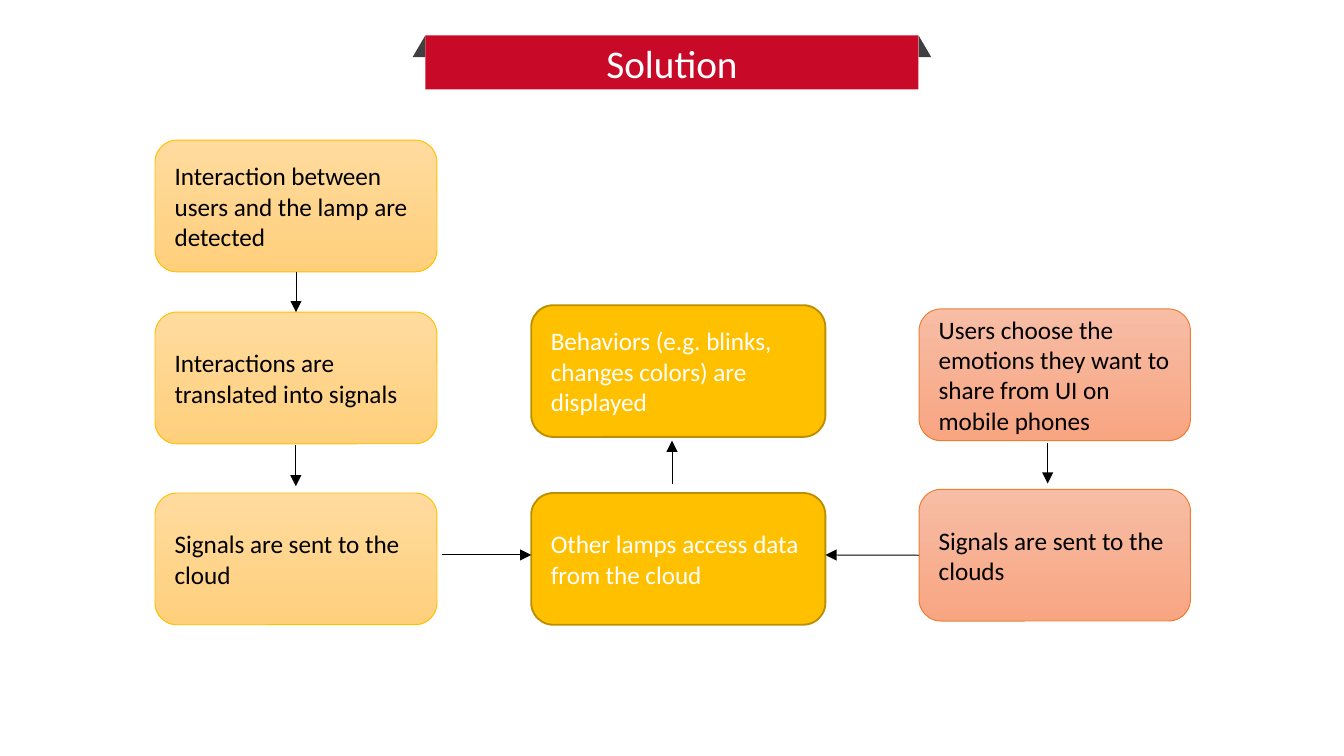
import lxml.etree
import pptx
import pptx.dml.color
import pptx.enum.shapes
import pptx.enum.text
import pptx.oxml.ns
import pptx.util

Cm = pptx.util.Cm
Pt = pptx.util.Pt
RGBColor = pptx.dml.color.RGBColor
SHAPE = pptx.enum.shapes.MSO_SHAPE
qn = pptx.oxml.ns.qn

WHITE = RGBColor(0xFF, 0xFF, 0xFF)
BLACK = RGBColor(0x00, 0x00, 0x00)
RED = RGBColor(0xC8, 0x0A, 0x28)
GREY = RGBColor(0x40, 0x40, 0x40)
GOLD = RGBColor(0xFF, 0xC0, 0x00)
DARK_GOLD = RGBColor(0xBD, 0x8E, 0x00)
SAND_TOP = RGBColor(0xFF, 0xDB, 0x9E)
SAND_BOTTOM = RGBColor(0xFF, 0xD0, 0x7C)
ORANGE = RGBColor(0xED, 0x7D, 0x31)
SALMON_TOP = RGBColor(0xF7, 0xBD, 0xA5)
SALMON_BOTTOM = RGBColor(0xF8, 0xA5, 0x82)

BANNER_LEFT, BANNER_TOP, BANNER_WIDTH, BANNER_HEIGHT = 8.04, 0.67, 9.32, 1.02
FOLD_WIDTH, FOLD_HEIGHT = 0.24, 0.41
STEP_HEIGHT = 2.49


def add_plain(kind, left, top, width, height, color):
    part = slide.shapes.add_shape(kind, Cm(left), Cm(top), Cm(width), Cm(height))
    part.shadow.inherit = False
    part.fill.solid()
    part.fill.fore_color.rgb = color
    part.line.fill.background()
    return part


def write_text(holder, wording, alignment, font_format):
    frame = holder.text_frame
    frame.word_wrap = True
    frame.vertical_anchor = pptx.enum.text.MSO_ANCHOR.MIDDLE
    paragraph = frame.paragraphs[0]
    paragraph.alignment = alignment
    run = paragraph.add_run()
    run.text = wording
    for attribute, value in font_format.items():
        if attribute == "color":
            run.font.color.rgb = value
        else:
            setattr(run.font, attribute, value)


presentation = pptx.Presentation()
presentation.slide_width = Cm(25.4)
presentation.slide_height = Cm(14.29)
slide = presentation.slides.add_slide(presentation.slide_layouts[6])

add_plain(SHAPE.RIGHT_TRIANGLE, BANNER_LEFT + BANNER_WIDTH, BANNER_TOP, FOLD_WIDTH, FOLD_HEIGHT, GREY)
left_fold = add_plain(SHAPE.RIGHT_TRIANGLE, BANNER_LEFT - FOLD_WIDTH, BANNER_TOP, FOLD_WIDTH, FOLD_HEIGHT, GREY)
left_fold._element.spPr.find(qn("a:xfrm")).set("flipH", "1")
add_plain(SHAPE.RECTANGLE, BANNER_LEFT, BANNER_TOP, BANNER_WIDTH, BANNER_HEIGHT, RED)
title = slide.shapes.add_textbox(Cm(BANNER_LEFT), Cm(BANNER_TOP), Cm(BANNER_WIDTH), Cm(BANNER_HEIGHT))
write_text(title, "Solution", pptx.enum.text.PP_ALIGN.CENTER,
           {"name": "Calibri", "size": Pt(21), "color": WHITE})

columns = [
    {"left": 2.93, "width": 5.33, "fill": (SAND_TOP, SAND_BOTTOM), "border": GOLD,
     "weight": 0.5, "ink": BLACK, "steps": [
         ("detected", 2.65, "Interaction between users and the lamp are detected"),
         ("translated", 5.9, "Interactions are translated into signals"),
         ("sent", 9.32, "Signals are sent to the cloud")]},
    {"left": 10.04, "width": 5.56, "fill": (GOLD,), "border": DARK_GOLD,
     "weight": 1, "ink": WHITE, "steps": [
         ("accessed", 9.32, "Other lamps access data from the cloud"),
         ("displayed", 5.77, "Behaviors (e.g. blinks, changes colors) are displayed")]},
    {"left": 17.37, "width": 5.13, "fill": (SALMON_TOP, SALMON_BOTTOM), "border": ORANGE,
     "weight": 0.5, "ink": BLACK, "steps": [
         ("chosen", 5.84, "Users choose the emotions they want to share from UI on mobile phones"),
         ("phone_sent", 9.25, "Signals are sent to the clouds")]},
]

steps = {}
for column in columns:
    for key, top, wording in column["steps"]:
        step = add_plain(SHAPE.ROUNDED_RECTANGLE, column["left"], top,
                         column["width"], STEP_HEIGHT, column["fill"][0])
        if len(column["fill"]) == 2:
            step.fill.gradient()
            step.fill.gradient_angle = 270
            for stop, color in zip(step.fill.gradient_stops, column["fill"]):
                stop.color.rgb = color
        step.line.color.rgb = column["border"]
        step.line.width = Pt(column["weight"])
        write_text(step, wording, pptx.enum.text.PP_ALIGN.LEFT,
                   {"name": "Calibri", "size": Pt(13.5), "color": column["ink"]})
        steps[key] = step

arrows = [
    ((5.59, 5.14), (5.59, 5.9), ("detected", 2), ("translated", 0)),
    ((5.59, 8.41), (5.59, 9.19), None, None),
    ((19.8, 8.38), (19.8, 9.14), None, None),
    ((12.7, 9.14), (12.7, 8.33), None, None),
    ((8.36, 10.49), (10.04, 10.49), None, None),
    ((17.37, 10.49), (15.6, 10.49), ("phone_sent", 1), None),
]
for start, end, source, target in arrows:
    arrow = slide.shapes.add_connector(pptx.enum.shapes.MSO_CONNECTOR.STRAIGHT,
                                       *map(Cm, start + end))
    if source:
        arrow.begin_connect(steps[source[0]], source[1])
    if target:
        arrow.end_connect(steps[target[0]], target[1])
    arrow.line.color.rgb = BLACK
    arrow.line.width = Pt(0.5)
    lxml.etree.SubElement(arrow.line._get_or_add_ln(), qn("a:tailEnd"), type="triangle")
    lxml.etree.SubElement(arrow._element.spPr, qn("a:effectLst"))

presentation.save("out.pptx")
